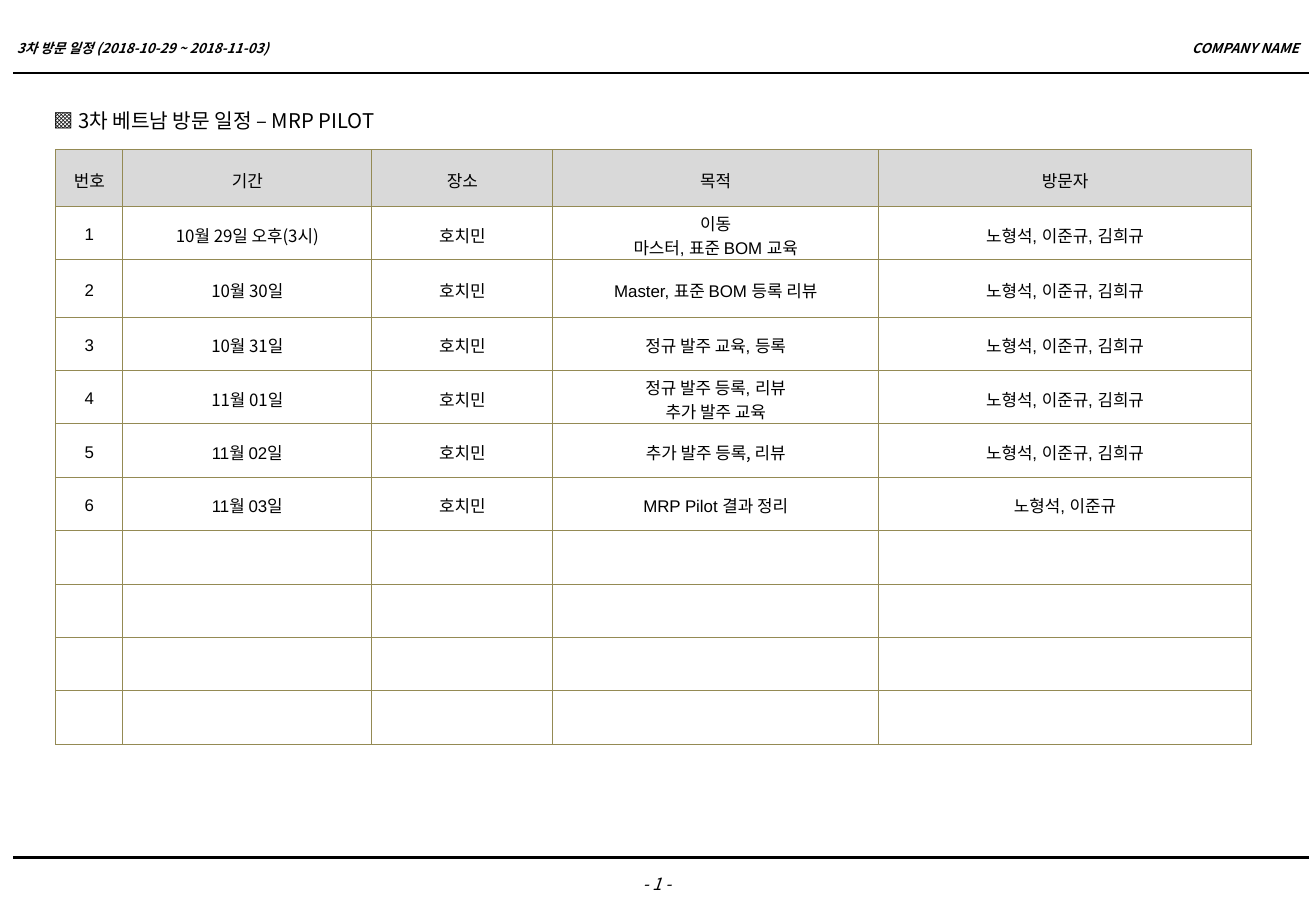
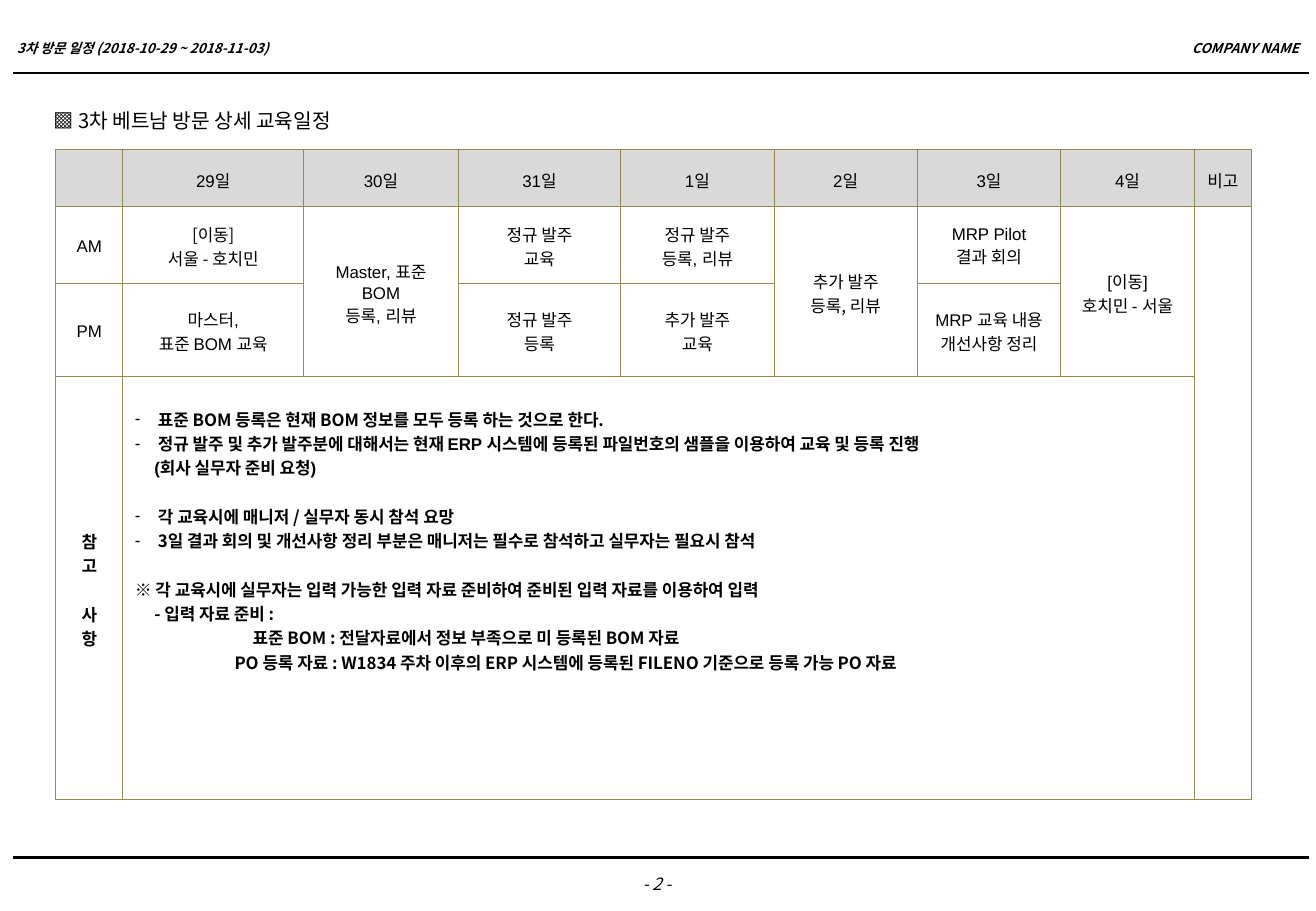
from lxml import etree
from pptx import Presentation
from pptx.dml.color import RGBColor
from pptx.enum.shapes import MSO_CONNECTOR
from pptx.enum.text import MSO_ANCHOR, PP_ALIGN
from pptx.oxml.ns import qn
from pptx.util import Emu, Pt

LEFT, MID, RIGHT = PP_ALIGN.LEFT, PP_ALIGN.CENTER, PP_ALIGN.RIGHT
TOP, CENTER = MSO_ANCHOR.TOP, MSO_ANCHOR.MIDDLE
STRAIGHT = MSO_CONNECTOR.STRAIGHT
NOTO, ARIAL = "Noto Sans CJK KR", "Arial"
BLACK, WHITE, GREY, OLIVE = "000000", "FFFFFF", "D9D9D9", "948A54"
GAP = Pt(14.4)


def px(n):
    return Emu(n * 9144)


def color(code):
    return RGBColor.from_string(code)


class Deck:
    def __init__(self):
        self.prs = Presentation()
        self.prs.slide_width, self.prs.slide_height = px(1083), px(750)
        self.slide = None

    def page(self, title):
        self.slide = self.prs.slides.add_slide(self.prs.slide_layouts[6])
        number = len(self.prs.slides)
        self.text(466, 714, 149, 27, f"- {number} -", 10, MID, TOP, italic=True)
        self.text(4, 16, 419, 47, "3차 방문 일정 (2018-10-29 ~ 2018-11-03)", 8,
                  bold=True, italic=True)
        self.text(951, 16, 128, 47, "COMPANY NAME", 8, RIGHT, bold=True, italic=True)
        for y in (60, 706):
            self.line(11, y, 1077, y)
        self.text(34, 84, 309, 30, f"▩ {title}", 12, anchor=TOP, wrap=False)

    def run(self, para, words, size=10, face=ARIAL, bold=False, italic=False):
        run = para.add_run()
        run.text = words
        font = run.font
        font.size, font.name = Pt(size), face
        font.bold, font.italic = bold, italic
        font.color.rgb = color(BLACK)
        east = etree.SubElement(run._r.get_or_add_rPr(), qn("a:ea"))
        east.set("typeface", NOTO)

    def text(self, x, y, w, h, words, size, align=LEFT, anchor=CENTER, wrap=True,
             bold=False, italic=False):
        box = self.slide.shapes.add_textbox(px(x), px(y), px(w), px(h))
        frame = box.text_frame
        frame.word_wrap, frame.vertical_anchor = wrap, anchor
        para = frame.paragraphs[0]
        para.alignment = align
        self.run(para, words, size, NOTO, bold, italic)

    def line(self, x1, y1, x2, y2):
        rule = self.slide.shapes.add_connector(STRAIGHT, px(x1), px(y1), px(x2), px(y2))
        rule.line.color.rgb = color(BLACK)
        rule.line.width = Pt(1.25)
        etree.SubElement(rule._element.spPr, qn("a:effectLst"))

    def edge(self, cell):
        props = cell._tc.get_or_add_tcPr()
        for i, side in enumerate(("lnL", "lnR", "lnT", "lnB")):
            edge = etree.Element(qn(f"a:{side}"), w=str(Pt(0.5)))
            fill = etree.SubElement(edge, qn("a:solidFill"))
            etree.SubElement(fill, qn("a:srgbClr"), val=OLIVE)
            props.insert(i, edge)

    def paras(self, frame, count):
        for _ in range(count - 1):
            frame.add_paragraph()
        return frame.paragraphs

    def fill(self, cell, words, face, bold=False):
        lines = words.split("\n")
        for para, line in zip(self.paras(cell.text_frame, len(lines)), lines):
            para.alignment = MID
            self.run(para, line, face=face, bold=bold)

    def grid(self, cols, rows, data, noto, spans=()):
        shape = self.slide.shapes.add_table(len(rows), len(cols), px(46), px(123),
                                            px(sum(cols)), px(sum(rows)))
        table = shape.table
        table.first_row = table.horz_banding = False
        for col, w in zip(table.columns, cols):
            col.width = px(w)
        for row, h in zip(table.rows, rows):
            row.height = px(h)
        for r1, c1, r2, c2 in spans:
            table.cell(r1, c1).merge(table.cell(r2, c2))
        for r in range(len(rows)):
            for c in range(len(cols)):
                cell = table.cell(r, c)
                cell.fill.solid()
                cell.fill.fore_color.rgb = color(WHITE if r else GREY)
                cell.vertical_anchor = CENTER
                cell.margin_top, cell.margin_bottom = px(3), px(0)
                self.edge(cell)
                if r < len(data) and data[r][c]:
                    self.fill(cell, data[r][c], NOTO if (r, c) in noto else ARIAL)
        return table

    def notes(self, cell, items):
        cell.vertical_anchor = TOP
        cell.margin_top = px(25)
        for para, item in zip(self.paras(cell.text_frame, len(items)), items):
            left, gap, face, words = item
            props = para._p.get_or_add_pPr()
            if gap:
                para.space_before = GAP
            if left == DASH:
                props.set("marL", str(px(19)))
                props.set("indent", str(px(-19)))
                etree.SubElement(props, qn("a:buFont"), typeface=ARIAL)
                etree.SubElement(props, qn("a:buChar"), char="-")
            else:
                props.set("marL", str(px(left)))
                props.set("indent", "0")
            self.run(para, words, face=face, bold=True)


DASH = -1
CITY, TEAM = "호치민", "노형석, 이준규, 김희규"
VISITS = [
    ["번호", "기간", "장소", "목적", "방문자"],
    ["1", "10월 29일 오후(3시)", CITY, "이동\n마스터, 표준 BOM 교육", TEAM],
    ["2", "10월 30일", CITY, "Master, 표준 BOM 등록 리뷰", TEAM],
    ["3", "10월 31일", CITY, "정규 발주 교육, 등록", TEAM],
    ["4", "11월 01일", CITY, "정규 발주 등록, 리뷰\n추가 발주 교육", TEAM],
    ["5", "11월 02일", CITY, "추가 발주 등록, 리뷰", TEAM],
    ["6", "11월 03일", CITY, "MRP Pilot 결과 정리", "노형석, 이준규"],
]
LESSONS = [
    ["", "29일", "30일", "31일", "1일", "2일", "3일", "4일", "비고"],
    ["AM", "[이동]\n서울 - 호치민", "Master, 표준 BOM\n등록, 리뷰", "정규 발주\n교육",
     "정규 발주\n등록, 리뷰", "추가 발주\n등록, 리뷰", "MRP Pilot\n결과 회의",
     "[이동]\n호치민 - 서울", ""],
    ["PM", "마스터,\n표준 BOM 교육", "", "정규 발주\n등록", "추가 발주\n교육", "",
     "MRP 교육 내용\n개선사항 정리", "", ""],
]
NOTES = [
    (DASH, False, NOTO, "표준 BOM 등록은 현재 BOM 정보를 모두 등록 하는 것으로 한다."),
    (DASH, False, ARIAL, "정규 발주 및 추가 발주분에 대해서는 현재 ERP 시스템에 등록된 "
     "파일번호의 샘플을 이용하여 교육 및 등록 진행"),
    (16, False, ARIAL, "(회사 실무자 준비 요청)"),
    (DASH, True, NOTO, "각 교육시에 매니저 / 실무자 동시 참석 요망"),
    (DASH, False, NOTO, "3일 결과 회의 및 개선사항 정리 부분은 매니저는 필수로 참석하고 "
     "실무자는 필요시 참석"),
    (0, True, NOTO, "※ 각 교육시에 실무자는 입력 가능한 입력 자료 준비하여 준비된 입력 "
     "자료를 이용하여 입력"),
    (16, False, NOTO, "- 입력 자료 준비 :"),
    (97, False, NOTO, "표준 BOM : 전달자료에서 정보 부족으로 미 등록된 BOM 자료"),
    (82, False, NOTO, "PO 등록 자료 : W1834 주차 이후의 ERP 시스템에 등록된 FILENO "
     "기준으로 등록 가능 PO 자료"),
]


def main():
    deck = Deck()
    deck.page("3차 베트남 방문 일정 – MRP PILOT")
    deck.grid([55, 205, 149, 268, 307], [47, 44, 47] + [44] * 8, VISITS,
              {(1, 1), (1, 2), (2, 1), (3, 1), (4, 1), (5, 3)})

    deck.page("3차 베트남 방문 상세 교육일정")
    table = deck.grid([55, 149, 127, 134, 126, 118, 118, 110, 47], [47, 63, 77, 348],
                      LESSONS, {(1, 1), (1, 5)},
                      [(1, 2, 2, 2), (1, 5, 2, 5), (1, 7, 2, 7), (1, 8, 3, 8),
                       (3, 1, 3, 7)])
    label = table.cell(3, 0)
    deck.fill(label, "참\n고\n사\n항", ARIAL, True)
    label.text_frame.paragraphs[2].space_before = GAP
    deck.notes(table.cell(3, 1), NOTES)
    deck.prs.save("out.pptx")


if __name__ == "__main__":
    main()
